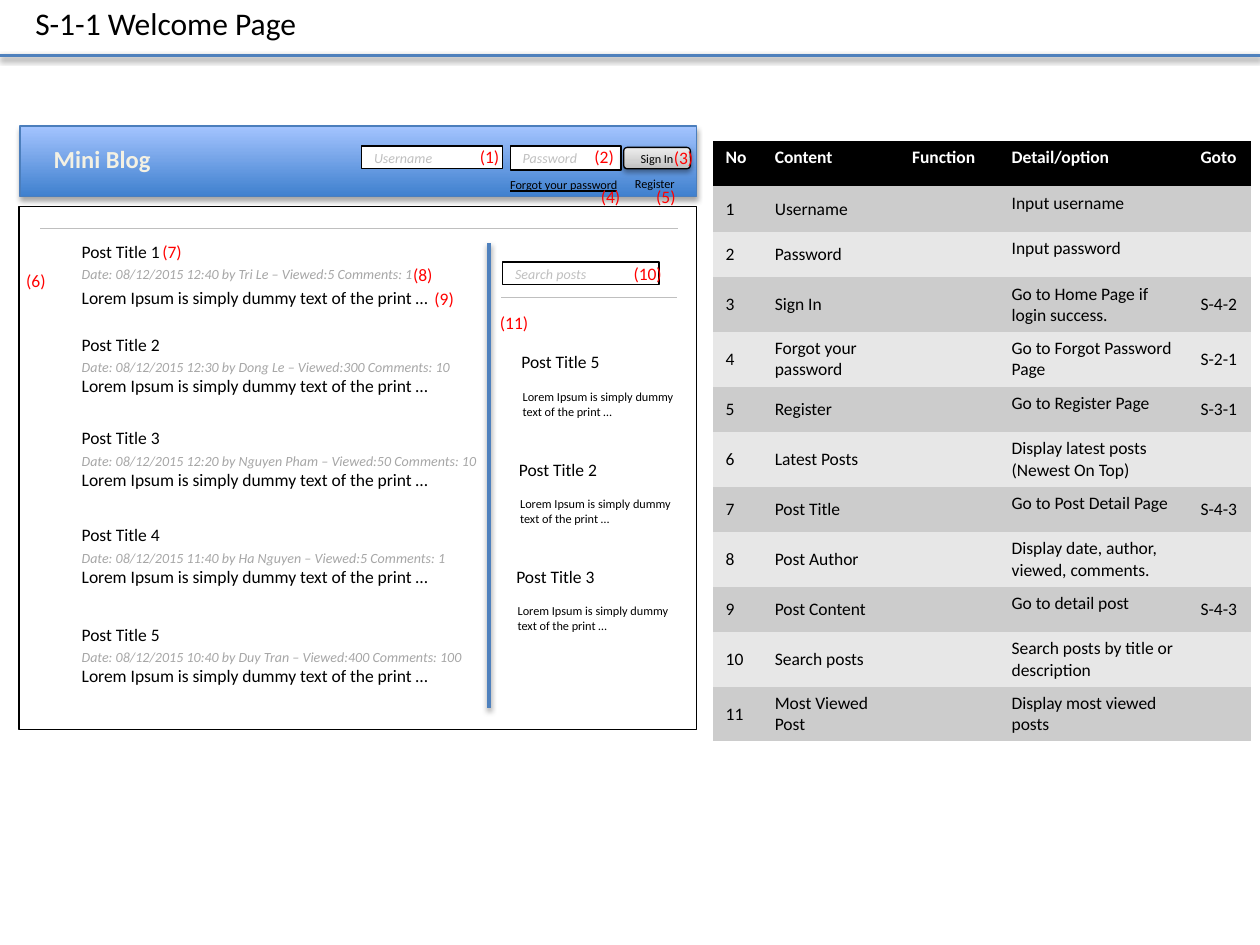
import pptx
import pptx.util
import pptx.dml.color
import pptx.enum.shapes
import pptx.enum.text
import pptx.oxml.ns
import lxml.etree

# The slide is a grid of 100 columns by 75 rows
COLS, ROWS = 100, 75
CELL = pptx.util.Inches(0.1)
FONT = "Calibri"
BLACK, WHITE, RED, BLUE = "000000", "FFFFFF", "FF0000", "4F81BD"
PALE, GREY = "BFBFBF", "A6A6A6"
ALIGN = pptx.enum.text.PP_ALIGN
ANCHOR = pptx.enum.text.MSO_ANCHOR
SHAPE = pptx.enum.shapes.MSO_SHAPE
LOREM = "Lorem Ipsum is simply dummy text of the print …"

# Top row, date width, title, date line
POSTS = [
    (18.6, 29, "Post Title 1", "12:40 by Tri Le – Viewed:5 Comments: 1"),
    (26, 31.9, "Post Title 2", "12:30 by Dong Le – Viewed:300 Comments: 10"),
    (33.4, 34.6, "Post Title 3", "12:20 by Nguyen Pham – Viewed:50 Comments: 10"),
    (41.1, 31.6, "Post Title 4", "11:40 by Ha Nguyen – Viewed:5 Comments: 1"),
    (49, 32.3, "Post Title 5", "10:40 by Duy Tran – Viewed:400 Comments: 100"),
]
# Left column and top row of the markers (1) to (11)
MARKS = [(37.1, 11.1), (46.2, 11.1), (52.5, 11.2), (46.7, 14.3), (51.1, 14.3),
         (1.1, 20.9), (11.9, 18.6), (31.8, 20.5), (33.5, 22.4), (49.3, 20.4),
         (38.7, 24.3)]
HEAD = ("No", "Content", "Function", "Detail/option", "Goto")
ITEMS = [
    ("Username", "Input username", ""),
    ("Password", "Input password", ""),
    ("Sign In", "Go to Home Page if login success.", "S-4-2"),
    ("Forgot your password", "Go to Forgot Password Page", "S-2-1"),
    ("Register", "Go to Register Page", "S-3-1"),
    ("Latest Posts", "Display latest posts (Newest On Top)", ""),
    ("Post Title", "Go to Post Detail Page", "S-4-3"),
    ("Post Author", "Display date, author, viewed, comments.", ""),
    ("Post Content", "Go to detail post", "S-4-3"),
    ("Search posts", "Search posts by title or description", ""),
    ("Most Viewed Post", "Display most viewed posts", ""),
]


def grid(*cells):
    return [round(n * CELL) for n in cells]


def tint(code):
    return pptx.dml.color.RGBColor.from_string(code)


def node(home, tag, **attrs):
    return lxml.etree.SubElement(home, pptx.oxml.ns.qn(tag), attrs)


def shade(item, alpha=None, dist=1.6):
    """Give a soft drop shadow, or none when alpha is missing."""
    list_ = node(item._element.spPr, "a:effectLst")
    if alpha:
        drop = node(list_, "a:outerShdw", blurRad=str(pptx.util.Pt(3.1)),
                    dist=str(pptx.util.Pt(dist)), dir="5400000", rotWithShape="0")
        node(node(drop, "a:srgbClr", val=BLACK), "a:alpha", val=str(alpha * 1000))


def blend(shape, stops):
    """Fill a shape with colours that run from foot to top."""
    fill = node(shape._element.spPr, "a:gradFill", rotWithShape="1")
    band = node(fill, "a:gsLst")
    for spot, code in stops:
        node(node(band, "a:gs", pos=str(spot * 1000)), "a:srgbClr", val=code)
    node(fill, "a:lin", ang="16200000", scaled="0")


def write(frame, text, size, color=BLACK, align=None, **style):
    para = frame.paragraphs[0]
    para.alignment = align
    run = para.add_run()
    run.text = text
    font = run.font
    font.name, font.size, font.color.rgb = FONT, pptx.util.Pt(size), tint(color)
    for key, value in style.items():
        setattr(font, key, value)
    return run


def fit(frame, wrap):
    frame.word_wrap = wrap
    frame.vertical_anchor = ANCHOR.TOP
    frame.auto_size = pptx.enum.text.MSO_AUTO_SIZE.SHAPE_TO_FIT_TEXT


def label(slide, area, text, size=10, color=BLACK, wrap=False, **style):
    frame = slide.shapes.add_textbox(*grid(*area)).text_frame
    fit(frame, wrap)
    return write(frame, text, size, color, **style)


def prose(slide, area, text, size=10, **style):
    label(slide, area, text, size, wrap=True, align=ALIGN.JUSTIFY, **style)


def box(slide, area, stops=None, edge=BLACK, kind=SHAPE.RECTANGLE):
    shape = slide.shapes.add_shape(kind, *grid(*area))
    if stops:
        blend(shape, stops)
    else:
        shape.fill.solid()
        shape.fill.fore_color.rgb = tint(WHITE)
    shape.line.color.rgb = tint(edge)
    shape.line.width = pptx.util.Pt(0.75)
    shape.text_frame.vertical_anchor = ANCHOR.MIDDLE
    return shape


def field(slide, area, hint):
    shape = box(slide, area)
    shade(shape)
    write(shape.text_frame, hint, 8, PALE, ALIGN.LEFT, italic=True)


def rule(slide, ends, color=PALE, width=0.25, alpha=None):
    line = slide.shapes.add_connector(
        pptx.enum.shapes.MSO_CONNECTOR.STRAIGHT, *grid(*ends))
    line.line.color.rgb = tint(color)
    line.line.width = pptx.util.Pt(width)
    shade(line, alpha)


def chart_items(slide):
    rows = [HEAD] + [(str(n), name, "", note, goto)
                     for n, (name, note, goto) in enumerate(ITEMS, 1)]
    high = 3.6
    area = grid(56.6, 11.2, 42.7, high * len(rows))
    table = slide.shapes.add_table(len(rows), len(HEAD), *area).table
    # Plain table style without lines
    style = table._tbl.tblPr.find(pptx.oxml.ns.qn("a:tableStyleId"))
    style.text = "{2D5ABB26-0587-4C30-8999-92F81FD0307C}"
    for col, width in zip(table.columns, grid(3.9, 10.9, 7.9, 15, 5)):
        col.width = width
    for r, texts in enumerate(rows):
        table.rows[r].height = grid(high)[0]
        back = BLACK if r == 0 else ("E7E7E7", "CCCCCC")[r % 2]
        for c, text in enumerate(texts):
            cell = table.cell(r, c)
            cell.fill.solid()
            cell.fill.fore_color.rgb = tint(back)
            if r and c != 3:
                cell.vertical_anchor = ANCHOR.MIDDLE
            if text:
                write(cell.text_frame, text, 10, BLACK if r else WHITE, bold=not r)
            else:
                node(cell.text_frame.paragraphs[0]._p, "a:endParaRPr", sz="1000")


def title(slide, text):
    head = slide.shapes.title
    head.left, head.top, head.width, head.height = grid(1.8, -0.2, 23, 4)
    fit(head.text_frame, False)
    write(head.text_frame, text, 18, align=ALIGN.LEFT)
    rule(slide, (0, 4.4, COLS, 4.4), BLUE, 2, 38)


def frame_page(slide):
    shade(box(slide, (1.5, 16.4, 53.8, 41.5)))
    bar = box(slide, (1.6, 10, 53.7, 5.6), [(0, "3F80CE"), (100, "A4C4FF")], "4B7EBC")
    shade(bar, 35, 1.8)
    rule(slide, (3.2, 18.1, 53.8, 18.1))


def banner(slide):
    run = label(slide, (3.2, 10.9, 9.8, 3.4), "Mini Blog", 14, "F4F1E3",
                align=ALIGN.CENTER, bold=True)
    # Outline of the letters
    edge = lxml.etree.Element(pptx.oxml.ns.qn("a:ln"), w=str(pptx.util.Pt(1)))
    node(node(edge, "a:solidFill"), "a:srgbClr", val="054697")
    run.font._element.insert(0, edge)
    field(slide, (28.7, 11.6, 11.2, 1.8), "Username")
    field(slide, (40.5, 11.6, 8.8, 1.9), "Password")
    knob = box(slide, (49.5, 11.7, 5.3, 1.7),
               [(0, "BDBDBD"), (35, "D1D1D1"), (100, "EEEEEE")],
               kind=SHAPE.ROUNDED_RECTANGLE)
    shade(knob, 38)
    write(knob.text_frame, "Sign In", 7, align=ALIGN.CENTER)
    prose(slide, (39.5, 13.6, 10.8, 2.2), "Forgot your password", 7, underline=True)
    prose(slide, (49.4, 13.5, 5.9, 2.2), "Register", 7)


def posts(slide):
    for n, (top, width, name, date) in enumerate(POSTS):
        drop = 3.3 if n else 3.7
        label(slide, (5.5, top, 8.3, 2.7), name)
        label(slide, (5.5, top + 2, width, 2.4), "Date: 08/12/2015 " + date, 8,
              GREY, italic=True)
        prose(slide, (5.5, top + drop, 35.1, 2.7), LOREM)


def side(slide):
    rule(slide, (38.8, 19.3, 38.8, 56.2), BLUE, 2, 38)
    field(slide, (39.9, 20.8, 12.4, 1.8), "Search posts")
    rule(slide, (39.8, 23.6, 53.7, 23.6))
    for n, name in enumerate(("Post Title 5", "Post Title 2", "Post Title 3")):
        left, top = 40.4 - 0.2 * n, 27.4 + 8.5 * n
        label(slide, (left, top, 8.3, 2.7), name)
        prose(slide, (left + 0.1, top + 3, 13.9, 3.4), LOREM, 7)


def main():
    deck = pptx.Presentation()
    deck.slide_width, deck.slide_height = grid(COLS, ROWS)
    slide = deck.slides.add_slide(deck.slide_layouts[5])
    title(slide, "S-1-1 Welcome Page")
    frame_page(slide)
    chart_items(slide)
    banner(slide)
    posts(slide)
    side(slide)
    # Red markers
    for n, (left, top) in enumerate(MARKS, 1):
        label(slide, (left, top, 3.6 if n < 10 else 4.3, 2.7), f"({n})", color=RED)
    deck.save("out.pptx")


main()
